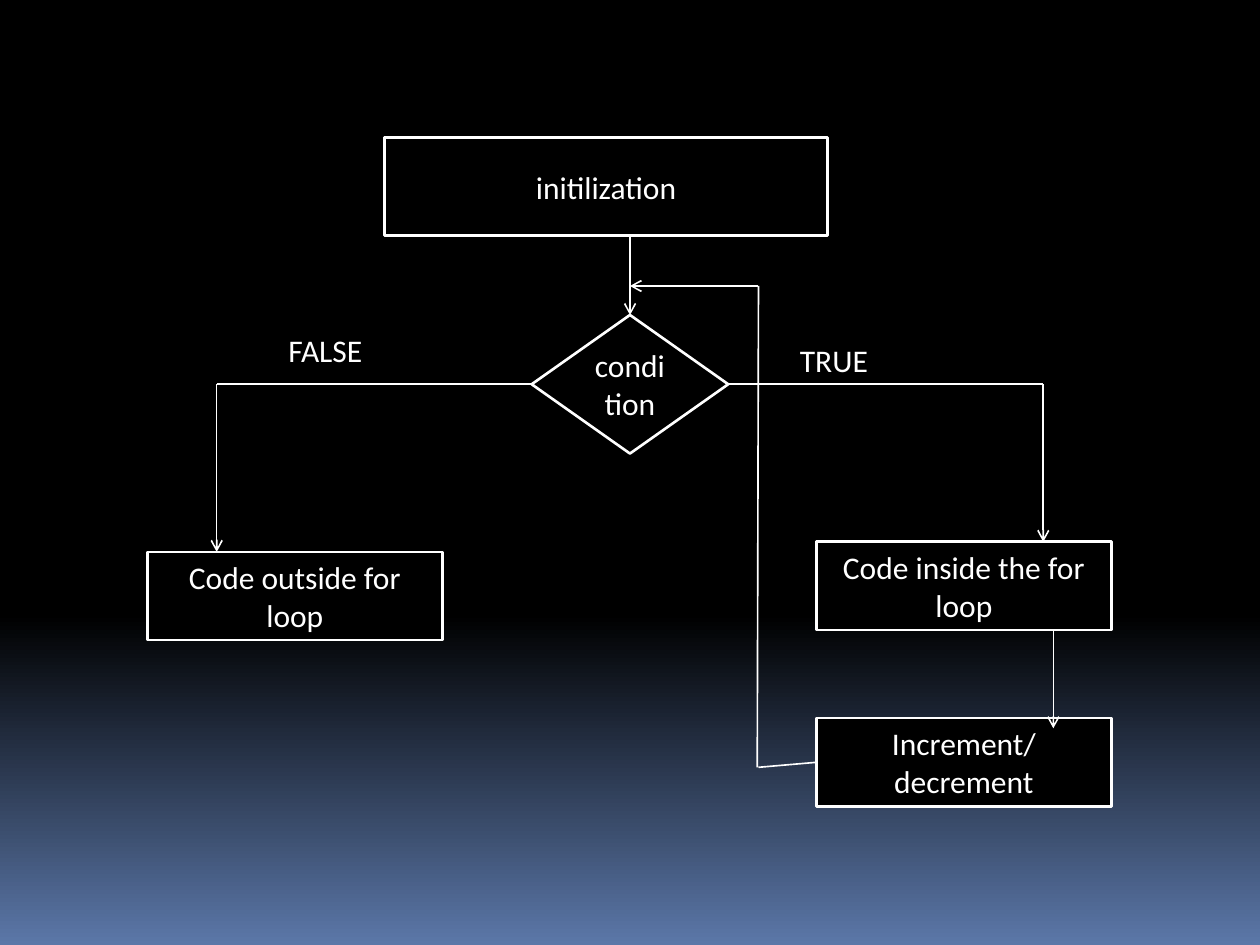
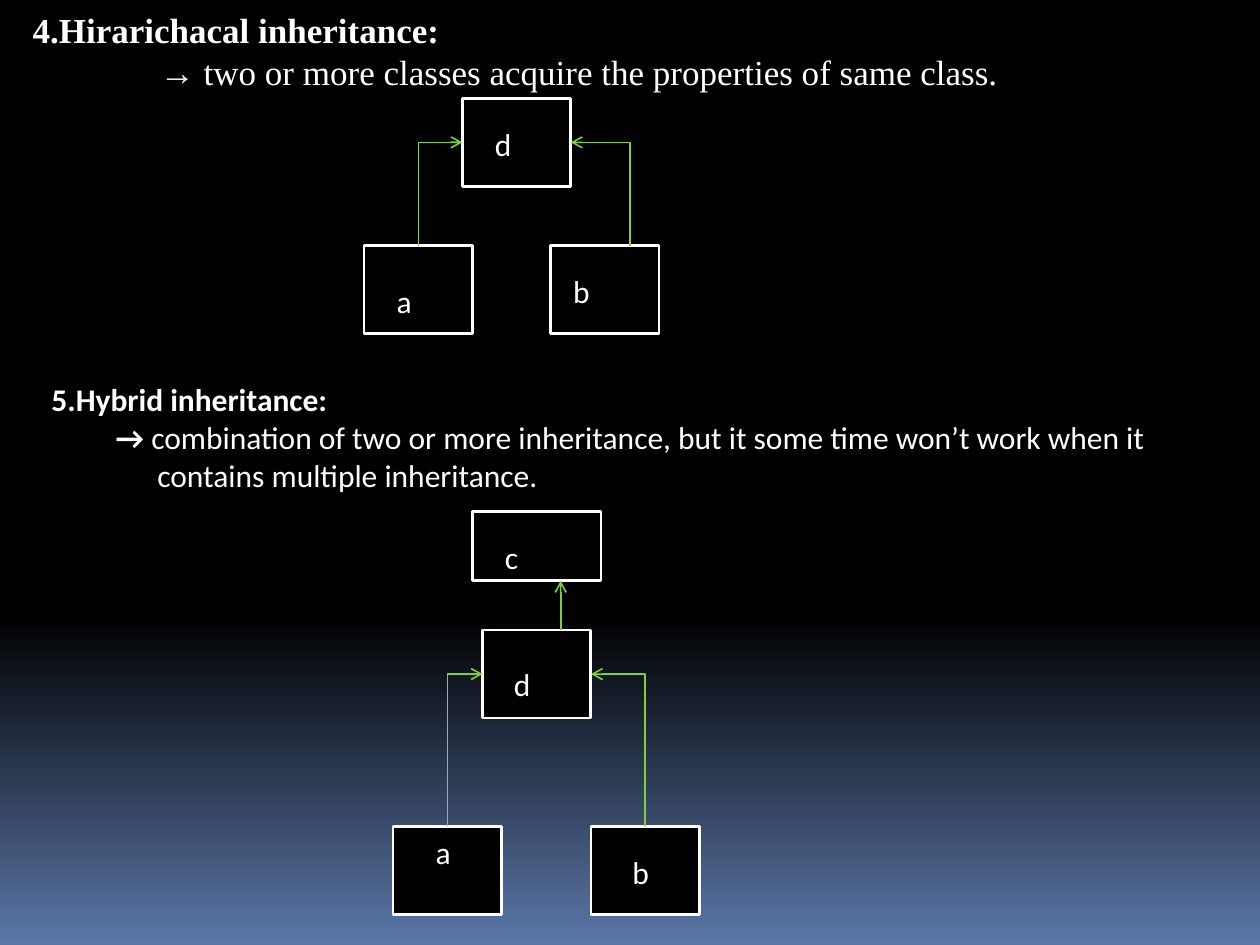
from copy import deepcopy
from dataclasses import dataclass
from typing import NamedTuple, Optional

from lxml.etree import SubElement
from pptx import Presentation
from pptx.dml.color import RGBColor as Rgb
from pptx.enum.shapes import MSO_CONNECTOR as Line, MSO_SHAPE as Preset
from pptx.enum.text import MSO_ANCHOR as Anchor, PP_ALIGN as Align
from pptx.oxml.ns import qn
from pptx.util import Pt

PX = 9144  # EMU per px, 100 px to the inch
TOP, LEFT, BOTTOM, RIGHT = range(4)

COLORS = {"ink": "FFFFFF", "box": "000000", "glow": "5B77A8", "inherit": "7FD13B"}
BACKGROUND_STOPS = [(0, "box"), (0.65, "box"), (1, "glow")]

BODY = {"name": "Calibri", "size": Pt(18), "bold": False}
BODY_HEADING = {**BODY, "bold": True}
SERIF = {"name": "Times New Roman", "size": Pt(20), "bold": False}
SERIF_HEADING = {**SERIF, "bold": True}
BOX_FRAME = {"word_wrap": True, "vertical_anchor": Anchor.MIDDLE}
LABEL_FRAME = {"word_wrap": True, "vertical_anchor": Anchor.TOP}


class Box(NamedTuple):
    left: int
    top: int
    width: int
    height: int
    text: str = ""
    preset: Preset = Preset.RECTANGLE


class Run(NamedTuple):
    text: str
    style: dict


class Para(NamedTuple):
    runs: list
    indent: int = 0


class Label(NamedTuple):
    left: int
    top: int
    width: int
    height: int
    paras: list


class Joint(NamedTuple):
    box: str
    side: int


@dataclass
class Link:
    start: tuple
    end: tuple
    arrow: bool = True
    color: str = "ink"
    begin_at: Optional[Joint] = None
    end_at: Optional[Joint] = None
    bent: bool = False


def color(name: str) -> Rgb:
    return Rgb.from_string(COLORS[name])


def apply(target, values: dict) -> None:
    for attribute, value in values.items():
        setattr(target, attribute, value)


def emu(*lengths: int) -> list:
    return [length * PX for length in lengths]


def plain(left: int, top: int, width: int, text: str) -> Label:
    """A one-line label in the body style."""
    return Label(left, top, width, 40, [Para([Run(text, BODY)])])


def paint_background(master) -> None:
    fill = master.background.fill
    fill.gradient()
    fill.gradient_angle = 270
    stop_list = next(master.element.iter(qn("a:gsLst")))
    while len(stop_list) < len(BACKGROUND_STOPS):
        stop_list.append(deepcopy(stop_list[0]))
    for stop, (position, name) in zip(fill.gradient_stops, BACKGROUND_STOPS):
        stop.position = position
        stop.color.rgb = color(name)


def add_run(paragraph, run: Run) -> None:
    piece = paragraph.add_run()
    piece.text = run.text
    apply(piece.font, run.style)
    piece.font.color.rgb = color("ink")


def draw_box(slide, box: Box):
    shape = slide.shapes.add_shape(box.preset, *emu(*box[:4]))
    shape.shadow.inherit = False
    shape.fill.solid()
    shape.fill.fore_color.rgb = color("box")
    shape.line.color.rgb = color("ink")
    shape.line.width = Pt(1.5)
    if box.text:
        apply(shape.text_frame, BOX_FRAME)
        paragraph = shape.text_frame.paragraphs[0]
        paragraph.alignment = Align.CENTER
        add_run(paragraph, Run(box.text, BODY))
    return shape


def draw_label(slide, label: Label) -> None:
    frame = slide.shapes.add_textbox(*emu(*label[:4])).text_frame
    apply(frame, LABEL_FRAME)
    for index, para in enumerate(label.paras):
        paragraph = frame.add_paragraph() if index else frame.paragraphs[0]
        if para.indent:
            paragraph._p.get_or_add_pPr().set("marL", str(para.indent * PX))
        for run in para.runs:
            add_run(paragraph, run)


def bend(connector, link: Link) -> None:
    """Make the connector rise from its start, then turn once towards its end."""
    (x1, y1), (x2, y2) = link.start, link.end
    rise, run = abs(y2 - y1), abs(x2 - x1)
    place = {
        "left": (x1 + x2 - rise) * PX // 2,
        "top": (y1 + y2 - run) * PX // 2,
        "width": rise * PX,
        "height": run * PX,
    }
    apply(connector, place)
    rightward = x2 > x1
    properties = connector.element.spPr
    transform = properties.find(qn("a:xfrm"))
    transform.set("rot", str((90 if rightward else 270) * 60000))
    transform.set("flipH", "1" if rightward else "0")
    transform.set("flipV", "1")
    properties.find(qn("a:prstGeom")).set("prst", "bentConnector2")


def draw_link(slide, link: Link, boxes: dict) -> None:
    kind = Line.ELBOW if link.bent else Line.STRAIGHT
    connector = slide.shapes.add_connector(kind, *emu(*link.start, *link.end))
    if link.begin_at:
        connector.begin_connect(boxes[link.begin_at.box], link.begin_at.side)
    if link.end_at:
        connector.end_connect(boxes[link.end_at.box], link.end_at.side)
    if link.bent:
        bend(connector, link)
    connector.line.color.rgb = color(link.color)
    connector.line.width = Pt(0.94)
    properties = connector.element.spPr
    if link.arrow:
        SubElement(properties.find(qn("a:ln")), qn("a:tailEnd"), type="arrow")
    SubElement(properties, qn("a:effectLst"))


def draw_slide(prs, boxes: dict, links: list, labels: list) -> None:
    slide = prs.slides.add_slide(prs.slide_layouts[6])
    shapes = {name: draw_box(slide, box) for name, box in boxes.items()}
    for link in links:
        draw_link(slide, link, shapes)
    for label in labels:
        draw_label(slide, label)


def step(left: int, top: int, text: str) -> Box:
    return Box(left, top, 234, 70, text)


def class_box(left: int, top: int) -> Box:
    return Box(left, top, 86, 70)


def inherits(start: tuple, end: tuple, **joints) -> Link:
    return Link(start, end, color="inherit", bent=True, **joints)


LOOP_BOXES = {
    "initialization": Box(305, 109, 352, 78, "initilization"),
    "condition": Box(422, 250, 156, 110, "condition", Preset.DIAMOND),
    "inside": step(648, 430, "Code inside the for loop"),
    "increment": step(648, 570, "Increment/decrement"),
    "outside": step(117, 438, "Code outside for loop"),
}
LOOP_LINKS = [
    Link((578, 305), (828, 305), arrow=False, begin_at=Joint("condition", RIGHT)),
    Link((172, 305), (422, 305), arrow=False, end_at=Joint("condition", LEFT)),
    Link((828, 305), (828, 430)),
    Link((836, 500), (836, 578)),
    Link((172, 305), (172, 438)),
    Link((500, 187), (500, 250), end_at=Joint("condition", TOP)),
    Link((602, 227), (500, 227)),
    Link((602, 227), (601, 609), arrow=False),
    Link((602, 609), (648, 605), arrow=False, end_at=Joint("increment", LEFT)),
]
LOOP_LABELS = [plain(625, 266, 148, "TRUE"), plain(219, 258, 164, "FALSE")]

INHERITANCE_BOXES = {
    "tree b": class_box(437, 195),
    "tree a": class_box(289, 195),
    "tree d": class_box(367, 78),
    "hybrid b": class_box(469, 656),
    "hybrid a": class_box(312, 656),
    "hybrid d": class_box(383, 500),
    "hybrid c": Box(375, 406, 102, 55),
}
INHERITANCE_LINKS = [
    inherits((332, 195), (367, 113),
             begin_at=Joint("tree a", TOP), end_at=Joint("tree d", LEFT)),
    inherits((500, 195), (453, 113), end_at=Joint("tree d", RIGHT)),
    inherits((355, 656), (383, 535),
             begin_at=Joint("hybrid a", TOP), end_at=Joint("hybrid d", LEFT)),
    inherits((512, 656), (469, 535),
             begin_at=Joint("hybrid b", TOP), end_at=Joint("hybrid d", RIGHT)),
    Link((445, 500), (445, 461), color="inherit"),
]
INHERITANCE_LABELS = [
    Label(16, 2, 971, 109, [
        Para([Run("4.Hirarichacal inheritance:", SERIF_HEADING)]),
        Para([Run("→ ", SERIF_HEADING),
              Run("two or more classes acquire the properties of same class.", SERIF)], 101),
    ]),
    Label(31, 297, 938, 131, [
        Para([Run("5.Hybrid inheritance:", BODY_HEADING)]),
        Para([Run("→ ", BODY_HEADING),
              Run("combination of two or more inheritance, "
                  "but it some time won’t work when it", BODY)], 51),
        Para([Run("contains multiple inheritance.", BODY)], 84),
    ]),
    plain(305, 219, 55, "a"),
    plain(445, 211, 63, "b"),
    plain(383, 94, 63, "d"),
    plain(336, 656, 55, "a"),
    plain(492, 672, 63, "b"),
    plain(398, 523, 63, "d"),
    plain(391, 422, 70, "c"),
]


def main() -> None:
    prs = Presentation()
    prs.slide_width, prs.slide_height = emu(1000, 750)
    paint_background(prs.slide_master)
    draw_slide(prs, LOOP_BOXES, LOOP_LINKS, LOOP_LABELS)
    draw_slide(prs, INHERITANCE_BOXES, INHERITANCE_LINKS, INHERITANCE_LABELS)
    prs.save("out.pptx")


if __name__ == "__main__":
    main()
